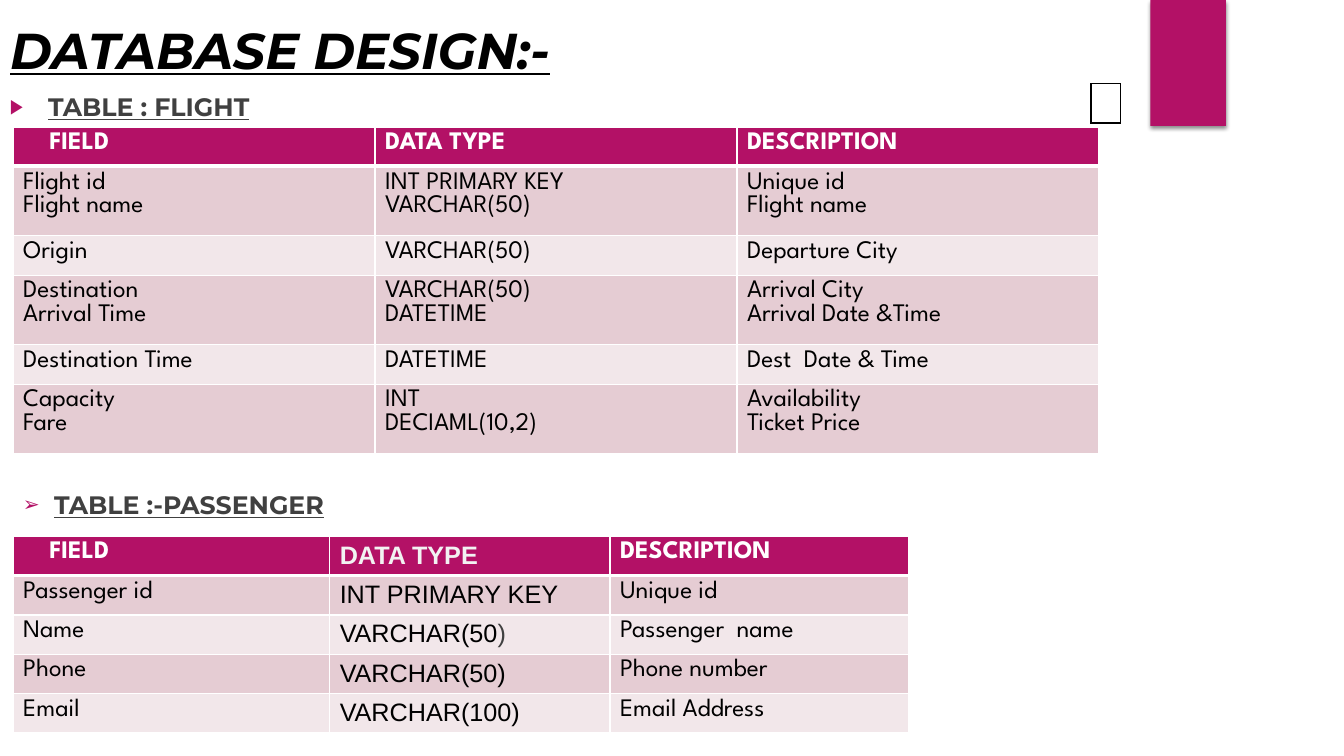
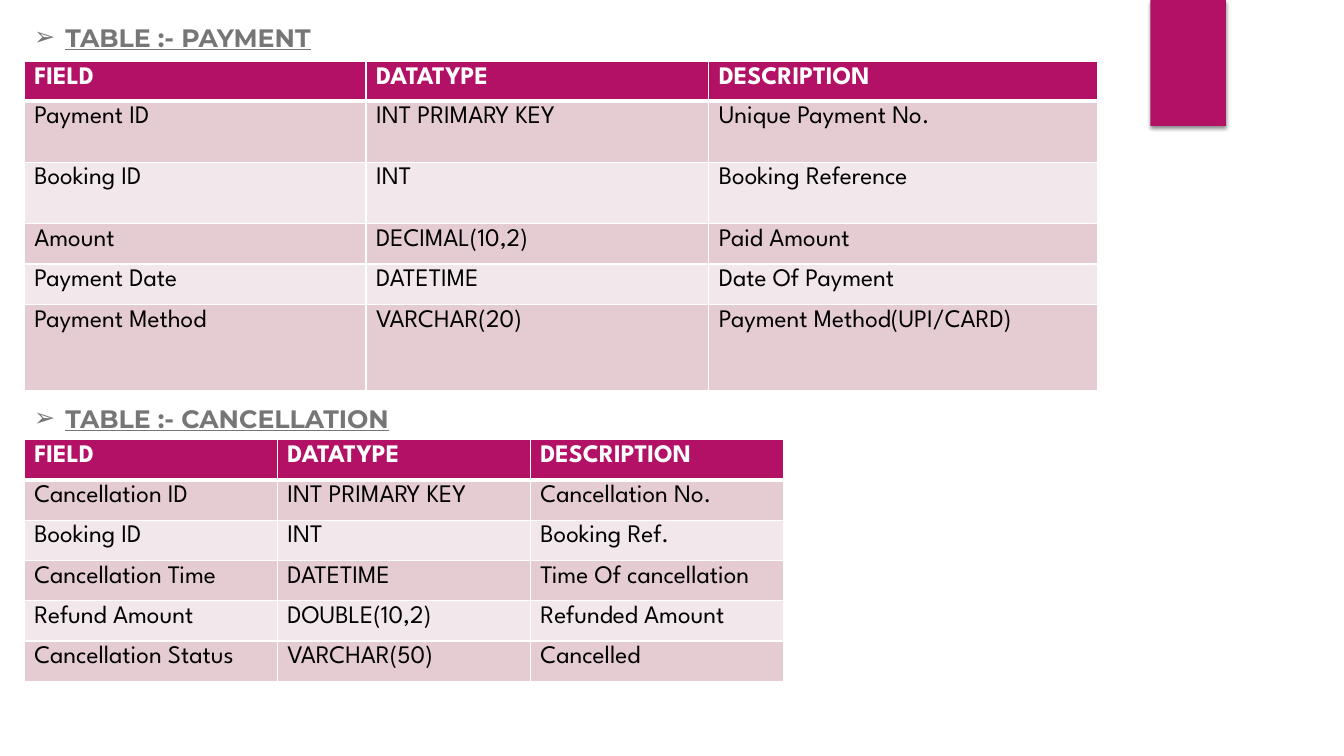
"""Build two slides that describe the tables of a flight booking database."""
from lxml import etree
from pptx import Presentation
from pptx.dml.color import RGBColor
from pptx.enum.shapes import MSO_SHAPE
from pptx.enum.text import MSO_ANCHOR, MSO_AUTO_SIZE, PP_ALIGN
from pptx.oxml import parse_xml
from pptx.oxml.ns import nsdecls, qn
from pptx.util import Inches, Pt

RECTANGLE = MSO_SHAPE.RECTANGLE
MIDDLE = MSO_ANCHOR.MIDDLE
LEFT = PP_ALIGN.LEFT
NO_FIT = MSO_AUTO_SIZE.NONE

COLORS = {
    "accent": "B31166", "dark_row": "E5CCD3", "light_row": "F2E7EA",
    "white": "FFFFFF", "off_white": "F2F2F2", "black": "000000",
    "dark_grey": "404040", "grey": "767676",
}
HEADING_FONT = "Montserrat"
TABLE_FONT = "League Spartan"
SECOND_FONT = "Arial"


def write_text(para, text, size=18, font=TABLE_FONT, color="black",
               bold=False, italic=False, underline=False):
    span = para.add_run()
    span.text = text
    span.font.size = Pt(size)
    span.font.name = font
    span.font.bold = bold
    span.font.italic = italic
    span.font.underline = underline
    span.font.color.rgb = RGBColor.from_string(COLORS[color])
    return span


def add_grid(page, left, top, widths, heights, rows, fonts=(TABLE_FONT,) * 3,
             border="white", filled=True):
    frame = page.shapes.add_table(len(heights), len(widths), Inches(left), Inches(top),
                                  Inches(sum(widths)), Inches(sum(heights)))
    table = frame.table
    table.first_row = table.horz_banding = False
    for column, width in zip(table.columns, widths):
        column.width = Inches(width)
    for row_index, (height, texts) in enumerate(zip(heights, rows)):
        table.rows[row_index].height = Inches(height)
        header = row_index == 0
        for column_index, text in enumerate(texts):
            cell = table.cell(row_index, column_index)
            cell.margin_top, cell.margin_bottom = Inches(0.05), Inches(0.04)
            properties = cell._tc.get_or_add_tcPr()
            for side in "LRTB":
                thick = filled and (row_index, side) in ((0, "B"), (1, "T"))
                line = etree.SubElement(properties, qn(f"a:ln{side}"), w=str(Pt(3 if thick else 1)))
                solid = etree.SubElement(line, qn("a:solidFill"))
                etree.SubElement(solid, qn("a:srgbClr"), val=COLORS[border])
            if not filled:
                cell.fill.background()
                continue
            cell.fill.solid()
            shade = "accent" if header else "dark_row" if row_index % 2 else "light_row"
            cell.fill.fore_color.rgb = RGBColor.from_string(COLORS[shade])
            for line_index, line_text in enumerate(text.split("\n")):
                body = cell.text_frame
                para = body.add_paragraph() if line_index else body.paragraphs[0]
                write_text(para, line_text, font=fonts[column_index], bold=header,
                           color="white" if header else "black")
    return table


deck = Presentation()
deck.slide_width, deck.slide_height = Inches(13.33), Inches(7.5)
design_page = deck.slides.add_slide(deck.slide_layouts[5])
payment_page = deck.slides.add_slide(deck.slide_layouts[6])

for page in (design_page, payment_page):
    band = page.shapes.add_shape(RECTANGLE, Inches(11.41), 0, Inches(0.75), Inches(1.25))
    band.fill.solid()
    band.fill.fore_color.rgb = RGBColor.from_string(COLORS["accent"])
    band.line.fill.background()
    band.shadow.inherit = False
    effects = band._element.spPr.find(qn("a:effectLst"))
    effects.append(parse_xml(
        f'<a:outerShdw {nsdecls("a")} blurRad="{Pt(3)}" dist="{Pt(2)}" dir="5400000" '
        f'rotWithShape="0"><a:srgbClr val="{COLORS["black"]}"><a:alpha val="45000"/>'
        '</a:srgbClr></a:outerShdw>'))

title = design_page.shapes.title
title.left, title.top = Inches(0), Inches(0.15)
title.width, title.height = Inches(9.58), Inches(0.67)
title.text_frame.vertical_anchor = MIDDLE
title.text_frame.auto_size = NO_FIT
title.text_frame.paragraphs[0].alignment = LEFT
write_text(title.text_frame.paragraphs[0], "DATABASE DESIGN:-", size=36,
           font=HEADING_FONT, bold=True, italic=True, underline=True)

headings = [
    (design_page, "TABLE : FLIGHT", 0, 0.86, 0.38, "▶", "accent", 80, "dark_grey"),
    (design_page, "TABLE :-PASSENGER", 0.13, 4.81, 0.31, "➢", "accent", 80, "dark_grey"),
    (payment_page, "TABLE :- PAYMENT", 0.24, 0.17, 0.31, "➢", "grey", 100, "grey"),
    (payment_page, "TABLE :- CANCELLATION", 0.24, 3.95, 0.31, "➢", "grey", 100, "grey"),
]
for page, text, left, top, indent, bullet, bullet_color, bullet_size, color in headings:
    box = page.shapes.add_textbox(Inches(left), Inches(top), Inches(6.8), Inches(0.4))
    box.text_frame.word_wrap = True
    para = box.text_frame.paragraphs[0]
    properties = para._p.get_or_add_pPr()
    properties.set("marL", str(Inches(indent)))
    properties.set("indent", str(-Inches(indent)))
    shade = etree.SubElement(properties, qn("a:buClr"))
    etree.SubElement(shade, qn("a:srgbClr"), val=COLORS[bullet_color])
    etree.SubElement(properties, qn("a:buSzPct"), val=str(bullet_size * 1000))
    etree.SubElement(properties, qn("a:buFont"), typeface=SECOND_FONT)
    etree.SubElement(properties, qn("a:buChar"), char=bullet)
    write_text(para, text, font=HEADING_FONT, color=color, bold=True, underline=True)

add_grid(design_page, 10.82, 0.83, [0.29], [0.37], [[""]], border="black", filled=False)

flight_table = add_grid(
    design_page, 0.13, 1.26, [3.59] * 3, [0.33, 0.56, 0.33, 0.56, 0.33, 0.56], [
        ("FIELD", "DATA TYPE", "DESCRIPTION"),
        ("Flight id\nFlight name", "INT PRIMARY KEY\nVARCHAR(50)", "Unique id\nFlight name"),
        ("Origin", "VARCHAR(50)", "Departure City"),
        ("Destination\nArrival Time", "VARCHAR(50)\nDATETIME", "Arrival City\nArrival Date &Time"),
        ("Destination Time", "DATETIME", "Dest  Date & Time"),
        ("Capacity\nFare", "INT\nDECIAML(10,2)", "Availability\nTicket Price"),
    ])

passenger_table = add_grid(
    design_page, 0.13, 5.32, [3.14, 2.78, 2.96], [0.38] * 5, [
        ("FIELD", "DATA TYPE", "DESCRIPTION"),
        ("Passenger id", "INT PRIMARY KEY", "Unique id"),
        ("Name", "VARCHAR(50", "Passenger  name"),
        ("Phone", "VARCHAR(50)", "Phone number"),
        ("Email", "VARCHAR(100)", "Email Address"),
    ], fonts=(TABLE_FONT, SECOND_FONT, TABLE_FONT))

for table in (flight_table, passenger_table):
    table.cell(0, 0).margin_left = Inches(0.36)
type_header = passenger_table.cell(0, 1).text_frame.paragraphs[0].runs[0]
type_header.font.color.rgb = RGBColor.from_string(COLORS["off_white"])
write_text(passenger_table.cell(2, 1).text_frame.paragraphs[0], ")",
           font=SECOND_FONT, color="dark_grey")

add_grid(payment_page, 0.24, 0.61, [3.39, 3.4, 3.86], [0.39, 0.61, 0.61, 0.4, 0.4, 0.86], [
    ("FIELD", "DATATYPE", "DESCRIPTION"),
    ("Payment ID", "INT PRIMARY KEY", "Unique Payment No."),
    ("Booking ID", "INT", "Booking Reference"),
    ("Amount", "DECIMAL(10,2)", "Paid Amount"),
    ("Payment Date", "DATETIME", "Date Of Payment"),
    ("Payment Method", "VARCHAR(20)", "Payment Method(UPI/CARD)"),
])

add_grid(payment_page, 0.24, 4.36, [2.51] * 3, [0.4] * 6, [
    ("FIELD", "DATATYPE", "DESCRIPTION"),
    ("Cancellation ID", "INT PRIMARY KEY", "Cancellation No."),
    ("Booking ID", "INT", "Booking Ref."),
    ("Cancellation Time", "DATETIME", "Time Of cancellation"),
    ("Refund Amount", "DOUBLE(10,2)", "Refunded Amount"),
    ("Cancellation Status", "VARCHAR(50)", "Cancelled"),
])

deck.save("out.pptx")
